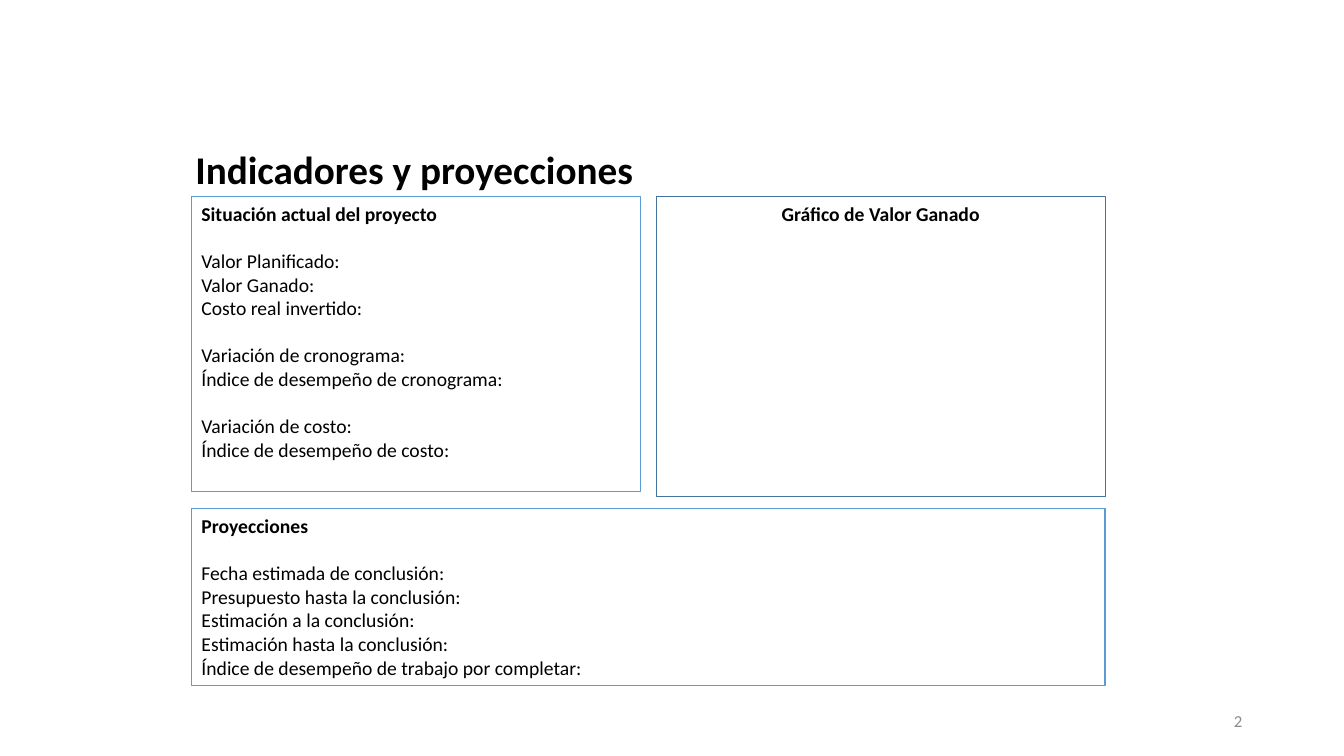
"""Build the slide of project indicators and projections."""
from pptx import Presentation, util as u
from pptx.dml.color import RGBColor
from pptx.enum import shapes, text

WIDE, HIGH = u.Inches(13.33), u.Inches(7.5)
HUES = {"ink": "000000", "page": "8C8C8C", "edge": "5B9BD5", "dark": "43739E"}
LEFT, TOP, FULL, HALF = 14.25, 26, 67.97, 33.38
STATUS = [
    ["Situación actual del proyecto"],
    ["Valor Planificado:", "Valor Ganado:", "Costo real invertido:"],
    ["Variación de cronograma:", "Índice de desempeño de cronograma:"],
    ["Variación de costo:", "Índice de desempeño de costo:"],
]
OUTLOOK = [
    ["Proyecciones"],
    ["Fecha estimada de conclusión:", "Presupuesto hasta la conclusión:",
     "Estimación a la conclusión:", "Estimación hasta la conclusión:",
     "Índice de desempeño de trabajo por completar:"],
]
CHART = [["Gráfico de Valor Ganado"]]


def place(x, y, w, h):
    """Turn percentages of the slide into lengths."""
    return [int(size * part / 100)
            for size, part in zip((WIDE, HIGH, WIDE, HIGH), (x, y, w, h))]


def style(para, size, hue="ink", bold=False, align=text.PP_ALIGN.LEFT):
    """Format a paragraph and its runs."""
    para.alignment = align
    for run in para.runs:
        font = run.font
        font.name, font.size, font.bold = "Calibri", u.Pt(size), bold
        font.color.rgb = RGBColor.from_string(HUES[hue])


def label(slide, words, area, size, **look):
    """Add a vertically centred line of text."""
    frame = slide.shapes.add_textbox(*place(*area)).text_frame
    frame.word_wrap = True
    frame.vertical_anchor = text.MSO_ANCHOR.MIDDLE
    frame.text = words
    style(frame.paragraphs[0], size, **look)


def panel(slide, groups, area, edge="edge", width=0.75,
          align=text.PP_ALIGN.LEFT):
    """Add an outlined box with a bold heading and spaced groups of lines."""
    box = slide.shapes.add_shape(shapes.MSO_SHAPE.RECTANGLE, *place(*area))
    box.shadow.inherit = False
    box.fill.background()
    box.line.color.rgb = RGBColor.from_string(HUES[edge])
    box.line.width = u.Pt(width)
    frame = box.text_frame
    frame.word_wrap = True
    frame.vertical_anchor = text.MSO_ANCHOR.TOP
    frame.text = "\n".join(line for group in groups for line in group)
    starts = {group[0] for group in groups[1:]}
    for row, para in enumerate(frame.paragraphs):
        style(para, 14, bold=row == 0, align=align)
        if para.text in starts:
            para.space_before = u.Pt(17)


def main():
    """Compose and save the slide."""
    deck = Presentation()
    deck.slide_width, deck.slide_height = WIDE, HIGH
    slide = deck.slides.add_slide(deck.slide_layouts[6])
    label(slide, "Indicadores y proyecciones", (13.8, 19.73, 63.77, 5.2), 28,
          bold=True)
    label(slide, "2", (70.67, 92.67, 22.5, 5.33), 12, hue="page",
          align=text.PP_ALIGN.RIGHT)
    panel(slide, STATUS, (LEFT, TOP, HALF, 39.07))
    panel(slide, OUTLOOK, (LEFT, 67.33, FULL, 23.33))
    panel(slide, CHART, (LEFT + FULL - HALF, TOP, HALF, 39.6), edge="dark",
          width=0.25, align=text.PP_ALIGN.CENTER)
    deck.save("out.pptx")


main()
